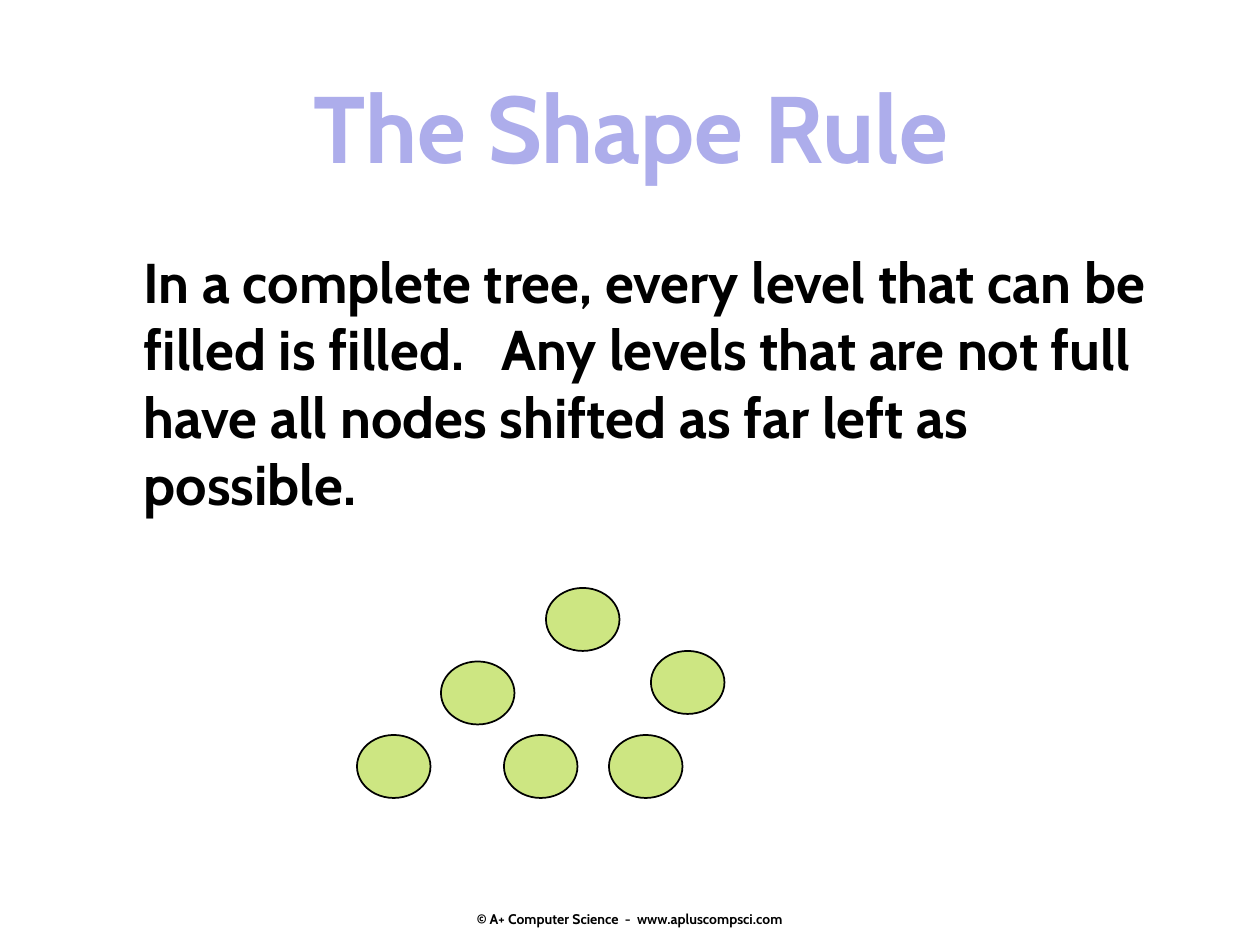
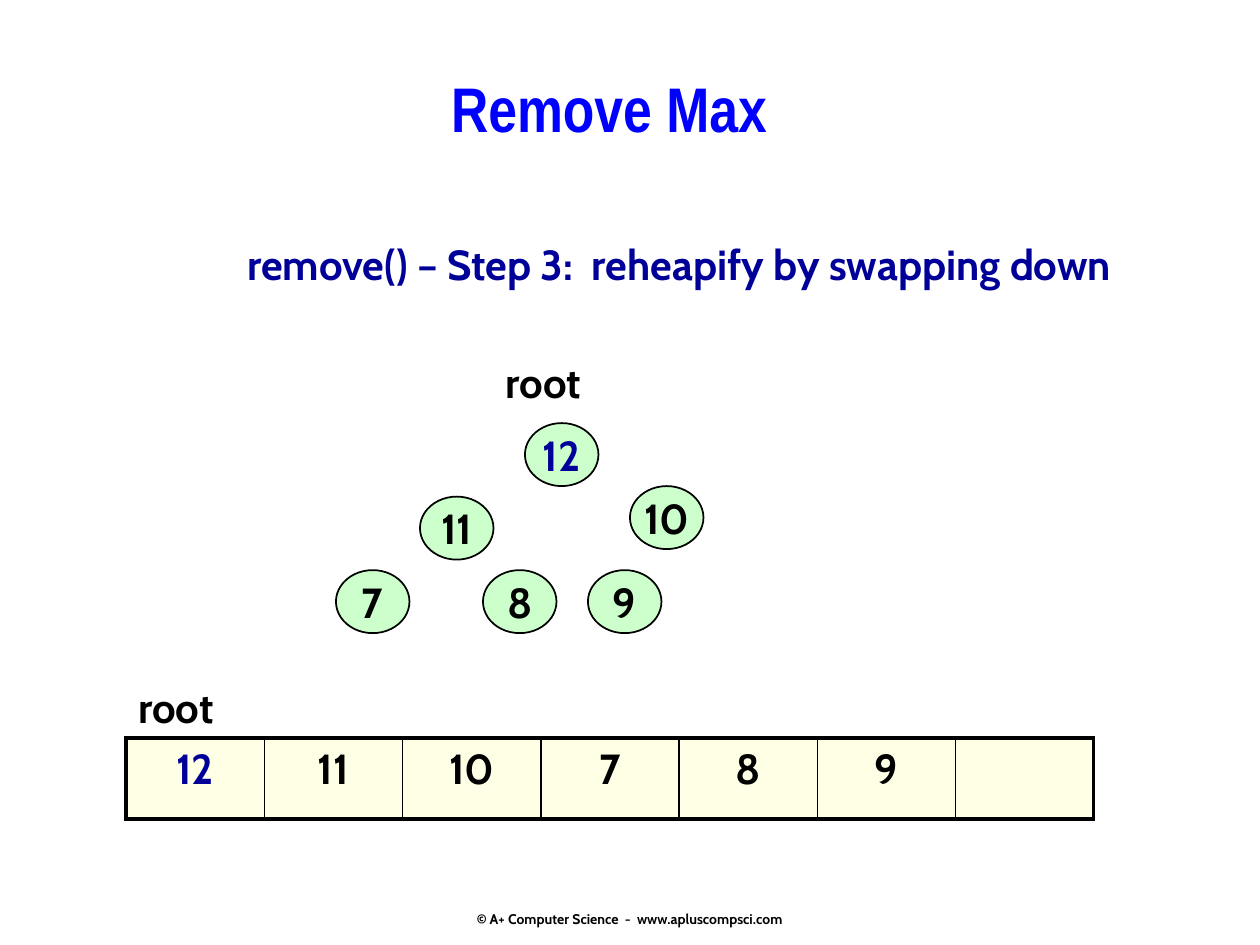
from dataclasses import dataclass

from lxml.etree import SubElement
from pptx import Presentation
from pptx.dml.color import RGBColor
from pptx.enum.shapes import MSO_SHAPE
from pptx.enum.text import MSO_ANCHOR, MSO_AUTO_SIZE, PP_ALIGN
from pptx.oxml import parse_xml
from pptx.oxml.ns import nsdecls, qn
from pptx.util import Inches, Pt


@dataclass(frozen=True)
class Theme:
    font: str = "Cabin"
    narrow_font: str = "Arial Narrow"
    black: str = "000000"
    navy: str = "000099"
    blue: str = "0000FF"
    lavender: str = "ADADEB"
    lime: str = "99CC00"
    mint: str = "CCFFCC"
    cream: str = "FFFFCC"
    banner_size: float = 54
    heading_size: float = 36
    rule_size: float = 32
    label_size: float = 24
    footer_size: float = 8
    thin: float = 1
    thick: float = 2.25


THEME = Theme()
COLUMNS, ROWS = 120, 90
TITLE_ONLY = 5
FOOTER = "© A+ Computer Science  -  www.apluscompsci.com"
NODE_SIZE = (7, 6)
NODE_OFFSETS = [(0, 0), (-10, 7), (10, 6), (-18, 14), (-4, 14), (6, 14)]
HEAP = ["12", "11", "10", "7", "8", "9"]
ARRAY_LENGTH = 7


def apply(target, values):
    for name, value in values.items():
        setattr(target, name, value)


def set_opacity(element, percent):
    color = element.xpath(".//a:solidFill/a:srgbClr")[0]
    SubElement(color, qn("a:alpha"), val=str(percent * 1000))


class Builder:
    def __init__(self, theme):
        self.theme = theme
        self.deck = Presentation()
        apply(self.deck, {"slide_width": Inches(10), "slide_height": Inches(7.5)})
        self.page = None

    def area(self, left, top, width, height):
        across = self.deck.slide_width / COLUMNS
        down = self.deck.slide_height / ROWS
        return [round(left * across), round(top * down),
                round(width * across), round(height * down)]

    def fill_text(self, frame, text, size, color=None, font=None,
                  align=PP_ALIGN.LEFT, spacing=None, tab=None):
        para = frame.paragraphs[0]
        apply(para, {"alignment": align, "line_spacing": spacing})
        if tab:
            stops = SubElement(para._p.get_or_add_pPr(), qn("a:tabLst"))
            SubElement(stops, qn("a:tab"), pos=str(Inches(tab)), algn="l")
        span = para.add_run()
        span.text = text
        apply(span.font, {"name": font or self.theme.font, "size": Pt(size), "bold": True})
        span.font.color.rgb = RGBColor.from_string(color or self.theme.black)

    def start(self, title, area, **style):
        self.page = self.deck.slides.add_slide(self.deck.slide_layouts[TITLE_ONLY])
        box = self.page.shapes.title
        apply(box, dict(zip(("left", "top", "width", "height"), self.area(*area))))
        apply(box.text_frame, {"word_wrap": False, "auto_size": MSO_AUTO_SIZE.NONE,
                               "vertical_anchor": MSO_ANCHOR.TOP})
        self.fill_text(box.text_frame, title, align=PP_ALIGN.CENTER, **style)

    def text(self, text, area, size, parent=None, wrap=True,
             anchor=MSO_ANCHOR.TOP, **style):
        box = (parent or self.page).shapes.add_textbox(*self.area(*area))
        apply(box.text_frame, {"word_wrap": wrap, "vertical_anchor": anchor})
        self.fill_text(box.text_frame, text, size, **style)

    def footer(self):
        self.text(FOOTER, (41, 85, 38, 5), self.theme.footer_size, wrap=False,
                  anchor=MSO_ANCHOR.MIDDLE, align=PP_ALIGN.CENTER)

    def node(self, group, left, top, fill, opacity=None, label=None, color=None):
        shape = group.shapes.add_shape(MSO_SHAPE.OVAL, *self.area(left, top, *NODE_SIZE))
        shape.shadow.inherit = False
        shape.fill.solid()
        shape.fill.fore_color.rgb = RGBColor.from_string(fill)
        if opacity:
            set_opacity(shape._element, opacity)
        shape.line.color.rgb = RGBColor.from_string(self.theme.black)
        shape.line.width = Pt(self.theme.thin)
        if label:
            apply(shape.text_frame, {"word_wrap": False,
                                     "vertical_anchor": MSO_ANCHOR.MIDDLE})
            self.fill_text(shape.text_frame, label, self.theme.label_size, color,
                           align=PP_ALIGN.CENTER)

    def tree(self, root_left, root_top, fill, opacity=None, labels=None):
        group = self.page.shapes.add_group_shape()
        for index, (across, down) in enumerate(NODE_OFFSETS):
            self.node(group, root_left + across, root_top + down, fill, opacity,
                      labels[index] if labels else None, self.heap_color(index))
        return group

    def heap_color(self, index):
        return self.theme.navy if index == 0 else self.theme.black

    def borders(self, cell, widths):
        properties = cell._tc.get_or_add_tcPr()
        for position, (side, width) in enumerate(widths.items()):
            properties.insert(position, parse_xml(
                f'<a:ln{side} {nsdecls("a")} w="{Pt(width)}"><a:solidFill>'
                f'<a:srgbClr val="{self.theme.black}"/></a:solidFill></a:ln{side}>'))

    def array(self, values, length, area):
        table = self.page.shapes.add_table(1, length, *self.area(*area)).table
        apply(table, {"first_row": False, "horz_banding": False})
        thin, thick = self.theme.thin, self.theme.thick
        for index in range(length):
            cell = table.cell(0, index)
            cell.fill.solid()
            cell.fill.fore_color.rgb = RGBColor.from_string(self.theme.cream)
            set_opacity(cell._tc, 50)
            self.borders(cell, {"L": thick if index == 0 else thin,
                                "R": thick if index == length - 1 else thin,
                                "T": thick, "B": thick})
            if index < len(values):
                self.fill_text(cell.text_frame, values[index], self.theme.label_size,
                               self.heap_color(index), align=PP_ALIGN.CENTER)


def shape_rule(builder):
    theme = builder.theme
    builder.start("The Shape Rule", (23.4, 6, 73.3, 12.1),
                  size=theme.banner_size, color=theme.lavender)
    builder.text("In a complete tree, every level that can be filled is filled.\t"
                 "Any levels that are not full have all nodes shifted as far left "
                 "as possible.", (12.5, 23, 98, 27), theme.rule_size, tab=2.84)
    builder.tree(52, 56, theme.lime, opacity=49)
    builder.footer()


def remove_max(builder):
    theme = builder.theme
    builder.start("Remove Max", (26, 6, 64, 8), size=theme.heading_size,
                  color=theme.blue, font=theme.narrow_font)
    builder.text("remove() – Step 3:  reheapify by swapping down", (4, 20.9, 103, 6.6),
                 theme.label_size, color=theme.navy, align=PP_ALIGN.RIGHT, spacing=1.25)
    heap = builder.tree(50, 40.3, theme.mint, labels=HEAP)
    builder.text("root", (47, 33.4, 18, 6), theme.label_size, parent=heap)
    builder.text("root", (12, 64.3, 84, 6), theme.label_size)
    builder.array(HEAP, ARRAY_LENGTH, (12, 70.3, 92.2, 7.7))
    builder.footer()


def main():
    builder = Builder(THEME)
    shape_rule(builder)
    remove_max(builder)
    builder.deck.save("out.pptx")


if __name__ == "__main__":
    main()
